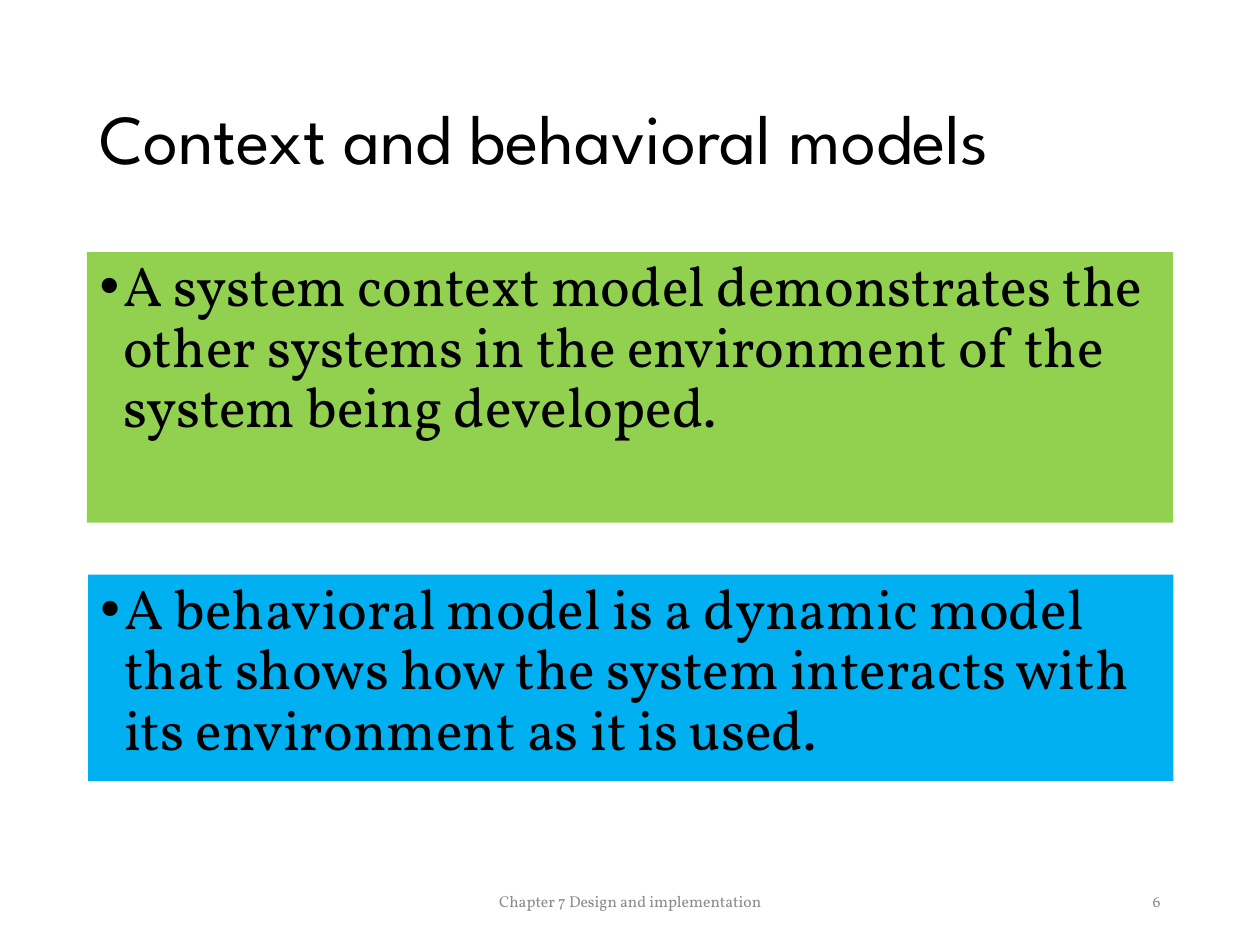
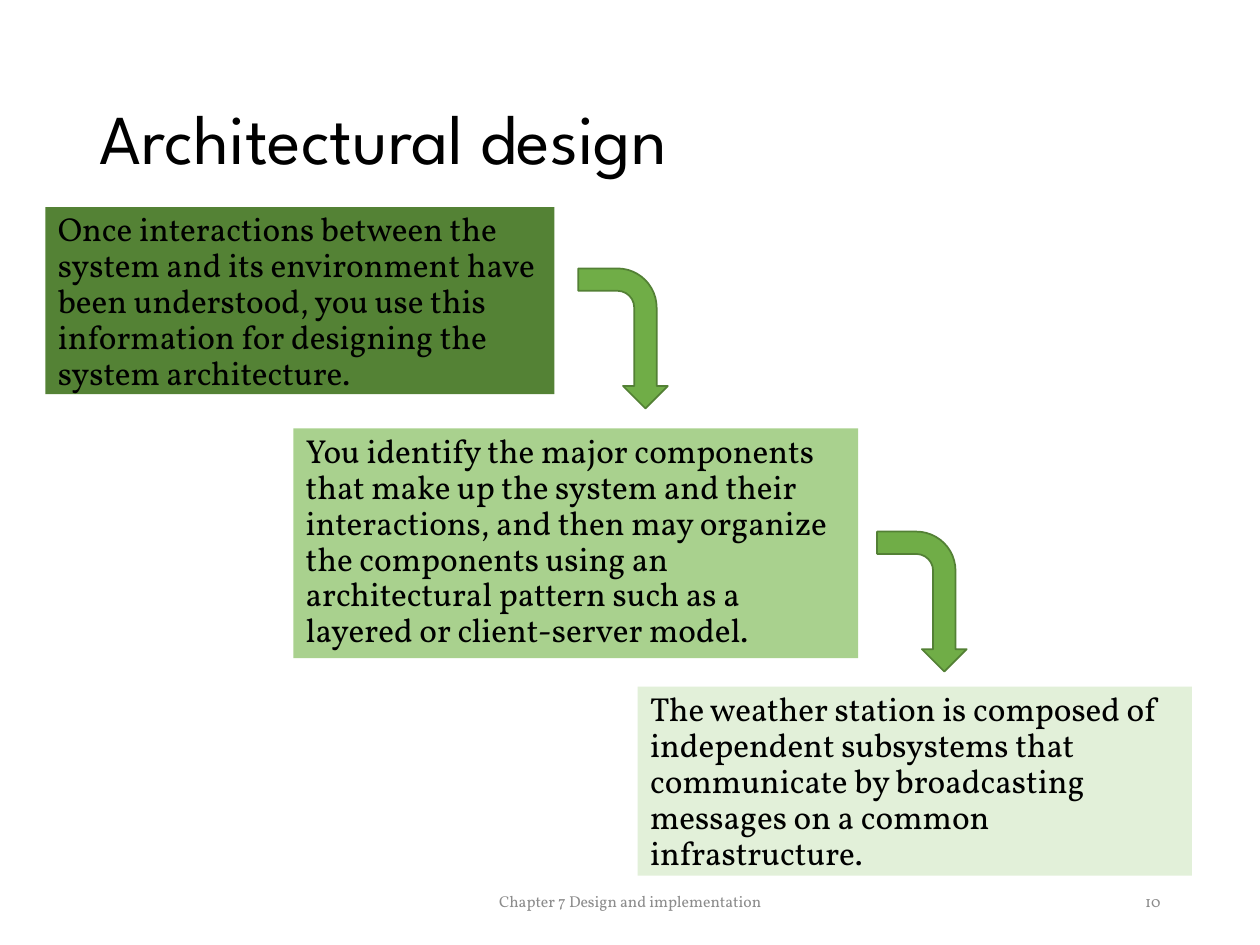
from lxml import etree
from pptx import Presentation
from pptx import util as u
from pptx.dml.color import RGBColor
from pptx.enum import shapes, text
from pptx.oxml import ns

Pt = u.Pt
BLACK = RGBColor(0x00, 0x00, 0x00)
GREY = RGBColor(0x8C, 0x8C, 0x8C)
LIME = RGBColor(0x92, 0xD0, 0x50)
SKY = RGBColor(0x00, 0xB0, 0xF0)
DARK_GREEN = RGBColor(0x54, 0x82, 0x35)
MID_GREEN = RGBColor(0xA9, 0xD1, 0x8E)
PALE_GREEN = RGBColor(0xE2, 0xF0, 0xD9)
ARROW_GREEN = RGBColor(0x70, 0xAD, 0x47)
ARROW_EDGE = RGBColor(0x53, 0x80, 0x35)
HEAD_FONT = "League Spartan"
BODY_FONT = "Vollkorn"
FOOTER = "Chapter 7 Design and implementation"
LEFT, WIDTH = 49.7, 620.6
BULLET_INDENT = 13.5


class Deck:
    def __init__(self):
        self.prs = Presentation()
        self.prs.slide_width, self.prs.slide_height = Pt(720), Pt(540)
        self.s = None

    def slide(self, title, number, title_width=WIDTH):
        self.s = self.prs.slides.add_slide(self.prs.slide_layouts[1])
        for sp in list(self.s.placeholders):
            if sp.placeholder_format.idx > 1:
                sp.element.getparent().remove(sp.element)
        sp = self.s.shapes.title
        self.place(sp, LEFT, 28.8, title_width, 104.4)
        p = self.add_text(sp, title, HEAD_FONT, 40, anchor=text.MSO_ANCHOR.MIDDLE)
        p.line_spacing = 0.9
        self.footer(FOOTER, 238.5, 243, text.PP_ALIGN.CENTER)
        self.footer(number, 508.3, 162, text.PP_ALIGN.RIGHT)

    def place(self, sp, x, y, w, h):
        sp.left, sp.top, sp.width, sp.height = Pt(x), Pt(y), Pt(w), Pt(h)

    def add_text(self, sp, words, font, size, color=BLACK,
                 align=text.PP_ALIGN.LEFT, anchor=text.MSO_ANCHOR.TOP):
        tf = sp.text_frame
        tf.word_wrap = True
        tf.auto_size = text.MSO_AUTO_SIZE.NONE
        tf.vertical_anchor = anchor
        tf.margin_left = tf.margin_right = Pt(7.2)
        tf.margin_top = tf.margin_bottom = Pt(3.6)
        p = tf.paragraphs[0]
        p.alignment = align
        r = p.add_run()
        r.text = words
        r.font.name, r.font.size = font, Pt(size)
        r.font.color.rgb = color
        return p

    def footer(self, words, x, w, align):
        sp = self.s.shapes.add_textbox(Pt(x), Pt(500.5), Pt(w), Pt(28.8))
        self.add_text(sp, words, BODY_FONT, 9, GREY, align, text.MSO_ANCHOR.MIDDLE)

    def shape(self, kind, x, y, w, h, fill):
        sp = self.s.shapes.add_shape(kind, Pt(x), Pt(y), Pt(w), Pt(h))
        sp.shadow.inherit = False
        sp.fill.solid()
        sp.fill.fore_color.rgb = fill
        return sp

    def body(self, words, box, fill, size, bullet=False):
        sp = self.s.placeholders[1]
        self.place(sp, *box)
        sp.fill.solid()
        sp.fill.fore_color.rgb = fill
        self.fill_panel(sp, words, size, bullet)

    def panel(self, words, box, fill, size, bullet=False):
        sp = self.shape(shapes.MSO_SHAPE.RECTANGLE, *box, fill)
        sp.line.fill.background()
        self.fill_panel(sp, words, size, bullet)

    def fill_panel(self, sp, words, size, bullet):
        p = self.add_text(sp, words, BODY_FONT, size)
        p.line_spacing, p.space_before = 0.9, Pt(7.5)
        indent = Pt(BULLET_INDENT) if bullet else 0
        pPr = p._p.get_or_add_pPr()
        pPr.set("marL", str(indent))
        pPr.set("indent", str(-indent))
        if bullet:
            etree.SubElement(pPr, ns.qn("a:buFont")).set("typeface", "Arial")
            etree.SubElement(pPr, ns.qn("a:buChar")).set("char", "•")
        else:
            etree.SubElement(pPr, ns.qn("a:buNone"))

    def arrow(self, x, y):
        sp = self.shape(shapes.MSO_SHAPE.BENT_ARROW, x, y, 80, 51.2, ARROW_GREEN)
        sp.rotation = 90
        sp.line.color.rgb = ARROW_EDGE
        sp.line.width = Pt(1)


def main():
    d = Deck()

    d.slide("Context and behavioral models", "6", 650.9)
    d.body("A system context model demonstrates the other systems in the "
           "environment of the system being developed.",
           (LEFT, 144, WIDTH, 154.6), LIME, 32, bullet=True)
    d.panel("A behavioral model is a dynamic model that shows how the system "
            "interacts with its environment as it is used.",
            (50.3, 328.3, 620.3, 118), SKY, 32, bullet=True)

    d.slide("Architectural design", "10")
    d.body("The weather station is composed of independent subsystems that "
           "communicate by broadcasting messages on a common infrastructure.",
           (364.3, 392.4, 316.8, 108), PALE_GREEN, 19)
    d.panel("Once interactions between the system and its environment have "
            "been understood, you use this information for designing the "
            "system architecture.",
            (26, 118.3, 290.9, 107), DARK_GREEN, 19)
    d.panel("You identify the major components that make up the system and "
            "their interactions, and then may organize the components using "
            "an architectural pattern such as a layered or client-server model.",
            (167.6, 244.8, 322.8, 131.3), MID_GREEN, 19)
    for x, y in ((316, 167.8), (486.8, 318.2)):
        d.arrow(x, y)

    d.prs.save("out.pptx")


if __name__ == "__main__":
    main()
